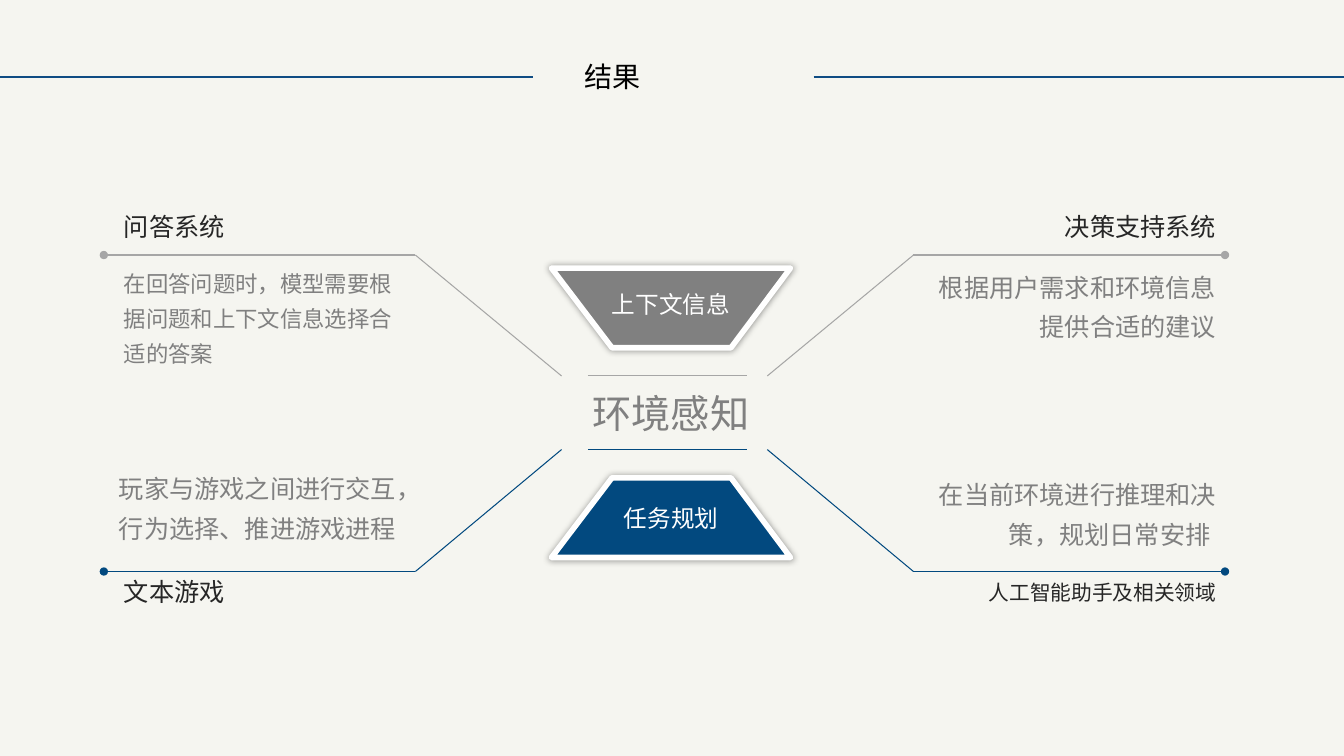
import pptx
import pptx.util
import pptx.dml.color
import pptx.enum.shapes
import pptx.enum.text
import pptx.oxml
import pptx.oxml.ns

PX = 9144  # EMU per px, 100 px to the inch
SLIDE_W, SLIDE_H = 1333, 750
FONT = "Noto Sans CJK SC"
COLORS = {
    "paper": "F5F5F0", "black": "000000", "white": "FFFFFF", "heading": "262626",
    "gray": "808080", "light": "A6A6A6", "blue": "02497F", "rule": "0F4C83",
}
LEFT = pptx.enum.text.PP_ALIGN.LEFT
RIGHT = pptx.enum.text.PP_ALIGN.RIGHT
CENTER = pptx.enum.text.PP_ALIGN.CENTER
JUSTIFY = pptx.enum.text.PP_ALIGN.JUSTIFY
PRESETS = pptx.enum.shapes.MSO_SHAPE


def rgb(color):
    return pptx.dml.color.RGBColor.from_string(COLORS[color])


def px(*lengths):
    return [pptx.util.Emu(length * PX) for length in lengths]


def add_xml(parent, tag, body="", attrs=""):
    namespace = pptx.oxml.ns.nsdecls("a")
    parent.append(pptx.oxml.parse_xml(f"<a:{tag} {namespace} {attrs}>{body}</a:{tag}>"))


def write(shape, text, size, color, align=LEFT, spacing=None, wrap=True, grow=True):
    frame = shape.text_frame
    frame.word_wrap = wrap
    if grow:
        frame.auto_size = pptx.enum.text.MSO_AUTO_SIZE.SHAPE_TO_FIT_TEXT
    paragraph = frame.paragraphs[0]
    paragraph.text = text
    paragraph.alignment = align
    if spacing:
        paragraph.line_spacing = spacing
    paragraph.font.size = pptx.util.Pt(size)
    paragraph.font.color.rgb = rgb(color)
    paragraph.font.name = FONT
    add_xml(paragraph.font._element, "ea", attrs=f'typeface="{FONT}"')


def add_text(slide, box, *args, **kwargs):
    write(slide.shapes.add_textbox(*px(*box)), *args, **kwargs)


def add_line(slide, start, end, color, width=0.75, dot=False):
    line = slide.shapes.add_connector(
        pptx.enum.shapes.MSO_CONNECTOR.STRAIGHT, *px(*start, *end))
    line.line.color.rgb = rgb(color)
    line.line.width = pptx.util.Pt(width)
    if dot:
        add_xml(line.line._get_or_add_ln(), "headEnd", attrs='type="oval"')
    add_xml(line._element.spPr, "effectLst")


def add_callout(slide, outer, elbow, inner, color):
    """Dotted horizontal line followed by a slanted one to the centre."""
    add_line(slide, outer, elbow, color, dot=True)
    add_line(slide, elbow, inner, color)


def add_trapezoid(slide, wide_y, narrow_y, color):
    builder = slide.shapes.build_freeform(547, wide_y, scale=PX)
    builder.add_line_segments(
        [(607, narrow_y), (725, narrow_y), (784, wide_y)], close=True)
    trapezoid = builder.convert_to_shape()
    trapezoid.fill.solid()
    trapezoid.fill.fore_color.rgb = rgb(color)
    trapezoid.line.color.rgb = rgb("white")
    trapezoid.line.width = pptx.util.Pt(4)
    add_xml(trapezoid._element.spPr, "effectLst",
            f'<a:outerShdw blurRad="{pptx.util.Pt(5)}" dist="0" dir="0" algn="ctr">'
            f'<a:srgbClr val="{COLORS["black"]}"><a:alpha val="40000"/></a:srgbClr>'
            '</a:outerShdw>')


def add_label(slide, box, text, color):
    label = slide.shapes.add_shape(PRESETS.RECTANGLE, *px(*box))
    label.shadow.inherit = False
    label.fill.solid()
    label.fill.fore_color.rgb = rgb(color)
    label.line.fill.background()
    write(label, text, 16.9, "white", wrap=False)


def add_title(slide, text):
    add_line(slide, (0, 76), (529, 76), "rule", 1.5)
    add_line(slide, (807, 76), (SLIDE_W, 76), "rule", 1.5)
    title = slide.shapes.add_shape(PRESETS.ROUNDED_RECTANGLE, *px(568, 54, 198, 44))
    title.shadow.inherit = False
    title.fill.background()
    title.line.fill.background()
    write(title, text, 20, "black", JUSTIFY, grow=False)


def main():
    deck = pptx.Presentation()
    deck.slide_width, deck.slide_height = px(SLIDE_W, SLIDE_H)
    slide = deck.slides.add_slide(deck.slide_layouts[6])
    slide.background.fill.solid()
    slide.background.fill.fore_color.rgb = rgb("paper")

    # Title between two rules
    add_title(slide, "结果")

    # Callout lines and the rules around the central topic
    for outer_y, inner_y, color in [(253, 373, "light"), (567, 446, "blue")]:
        add_line(slide, (583, inner_y), (741, inner_y), color)
        for outer_x, elbow_x, inner_x in [(103, 412, 557), (1215, 906, 761)]:
            add_callout(slide, (outer_x, outer_y), (elbow_x, outer_y),
                        (inner_x, inner_y), color)

    # Application headings
    for x, y, height, text, size, align in [
        (113, 205, 40, "问答系统", 18, LEFT),
        (113, 567, 40, "文本游戏", 18, LEFT),
        (863, 205, 40, "决策支持系统", 18, RIGHT),
        (863, 570, 35, "人工智能助手及相关领域", 14.8, RIGHT),
    ]:
        add_text(slide, (x, y, 353, height), text, size, "heading", align)

    # Application descriptions
    for x, y, height, text, size, align in [
        (113, 255, 115, "在回答问题时，模型需要根据问题和上下文信息选择合适的答案", 16, LEFT),
        (108, 456, 88, "玩家与游戏之间进行交互，行为选择、推进游戏进程", 18, LEFT),
        (918, 256, 88, "根据用户需求和环境信息提供合适的建议", 18, RIGHT),
        (918, 462, 88, "在当前环境进行推理和决策，规划日常安排 ", 18, RIGHT),
    ]:
        add_text(slide, (x, y, 298, height), text, size, "gray", align, spacing=1.3)

    # Central topic with its two trapezoids
    add_text(slide, (578, 381, 175, 57), "环境感知", 28, "gray", CENTER, wrap=False)
    add_trapezoid(slide, 266, 345, "gray")
    add_label(slide, (597, 282, 138, 39), "上下文信息", "gray")
    add_trapezoid(slide, 553, 474, "blue")
    add_label(slide, (609, 494, 114, 39), "任务规划", "blue")

    deck.save("out.pptx")


if __name__ == "__main__":
    main()
